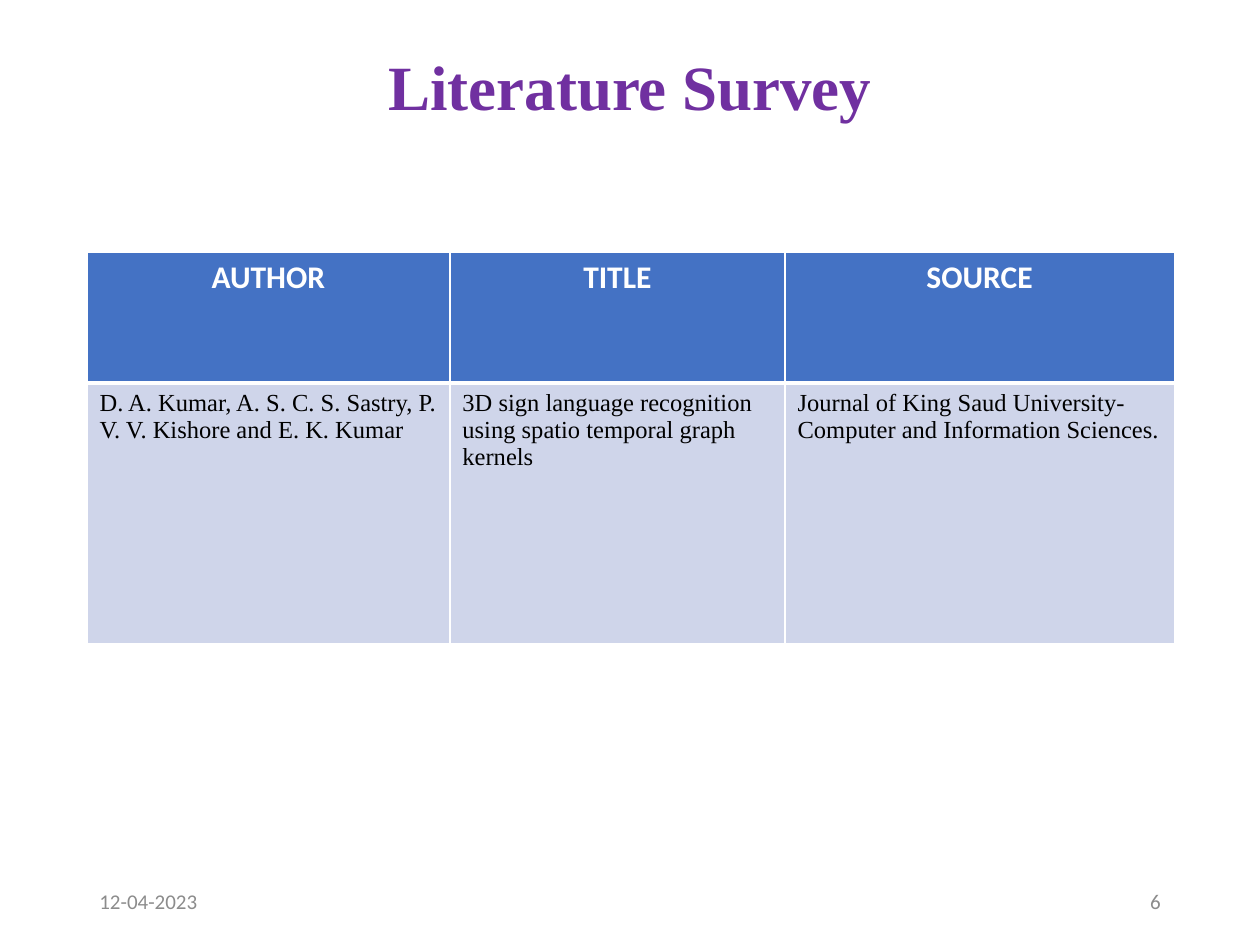
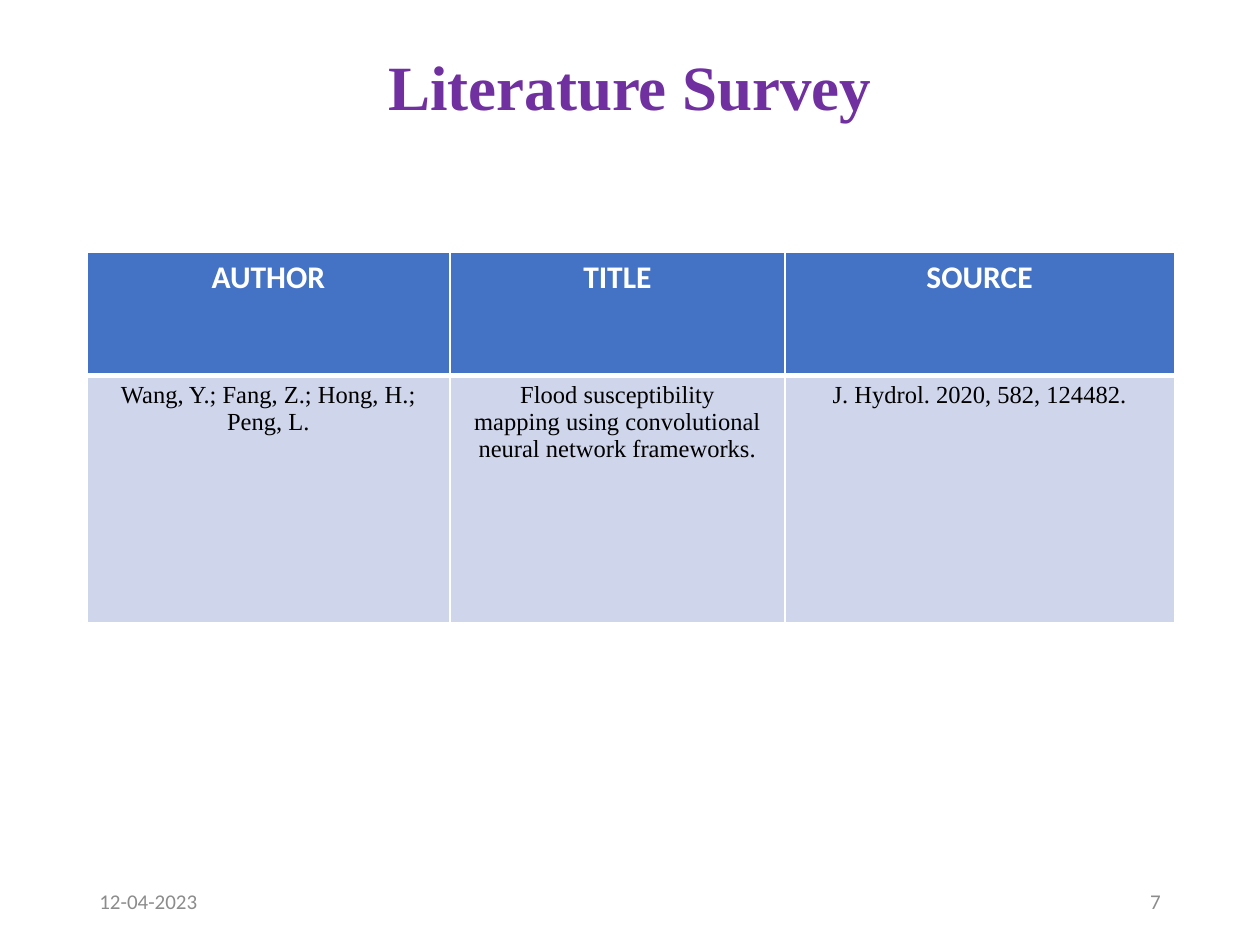
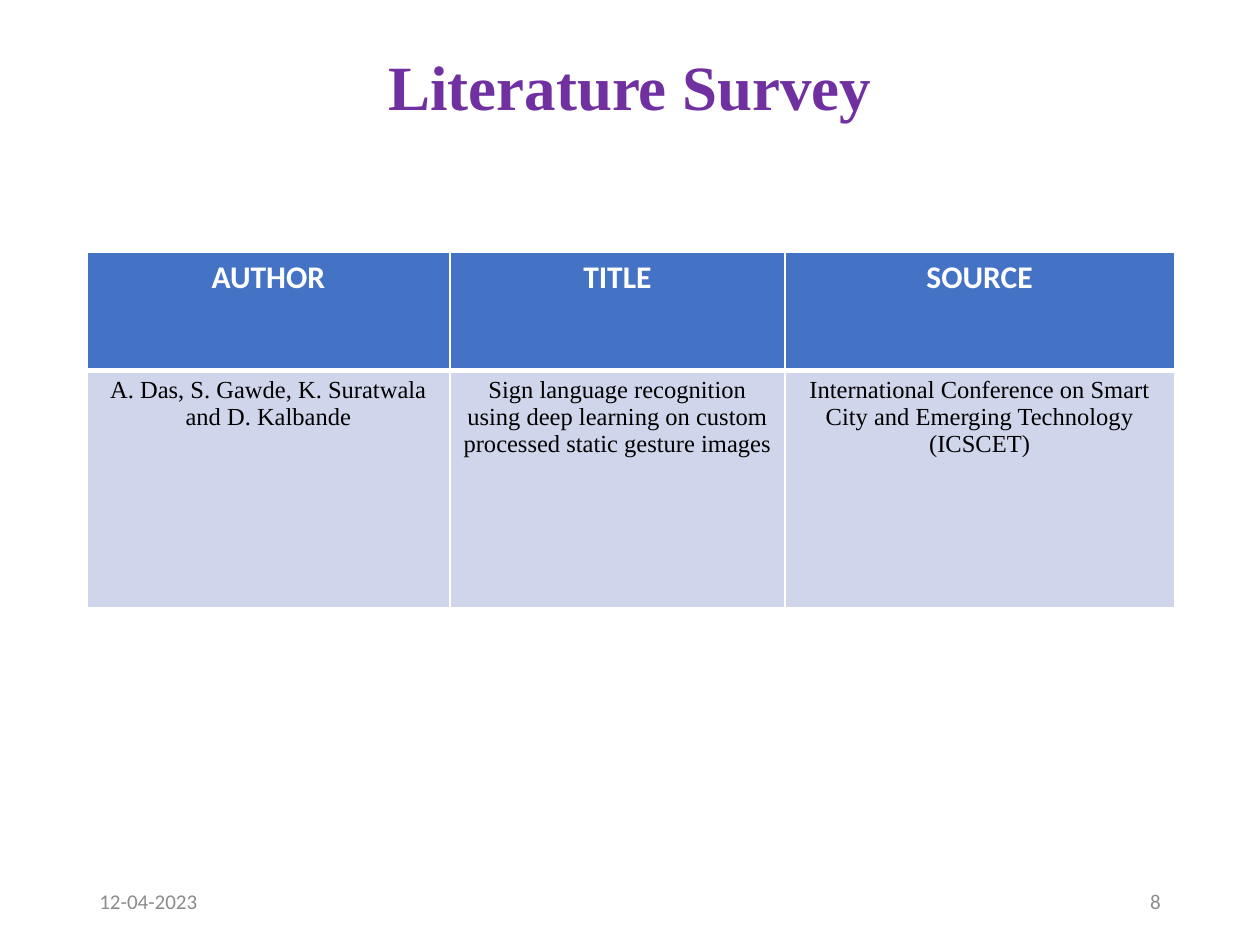
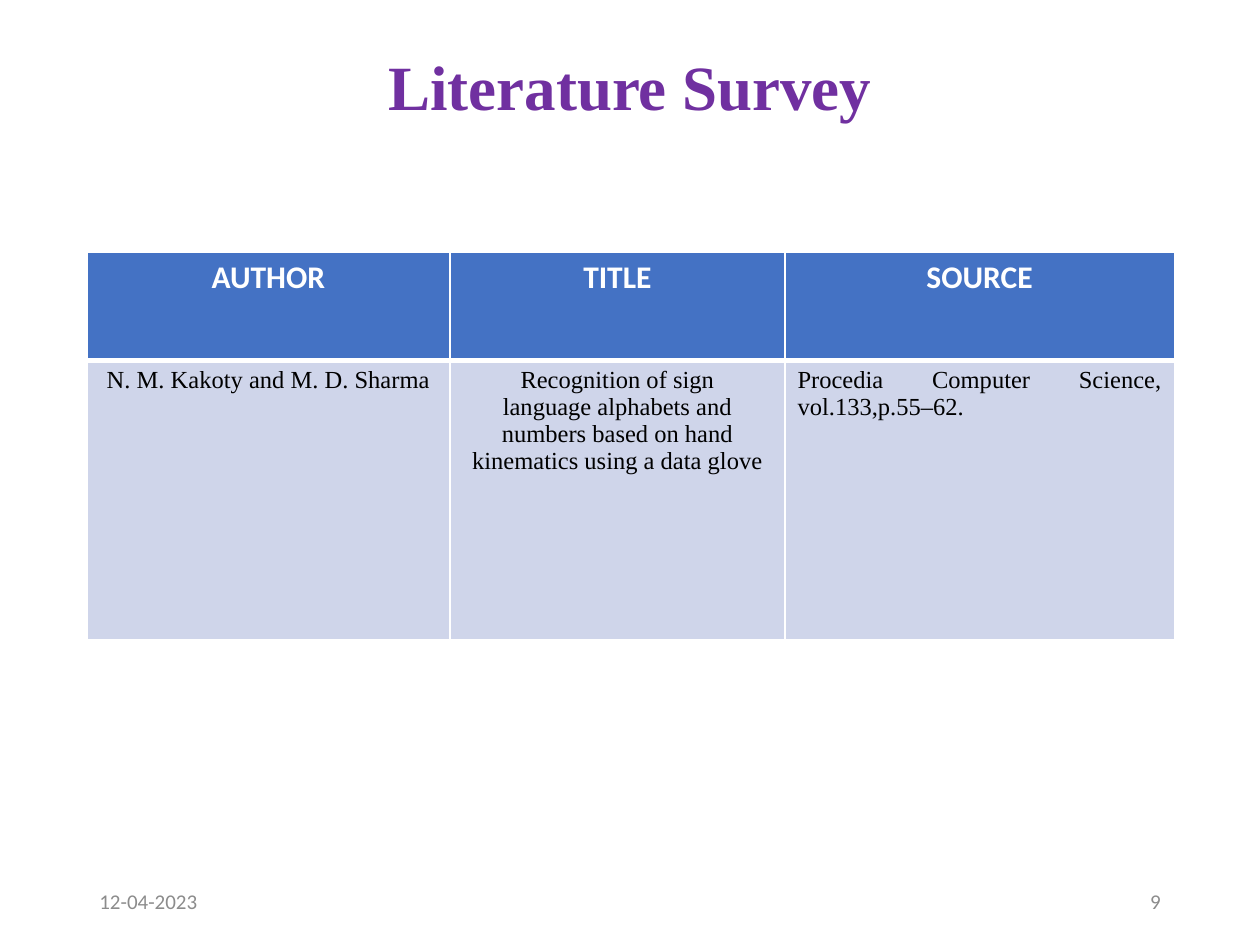
from pptx import Presentation
from pptx import util as u
from pptx.dml.color import RGBColor
from pptx.enum import text
from pptx.oxml import parse_xml
from pptx.oxml.ns import nsdecls

# Shared colours and text formats
PURPLE = RGBColor(0x70, 0x30, 0xA0)
BLUE = RGBColor(0x44, 0x72, 0xC4)
PALE = RGBColor(0xCF, 0xD5, 0xEA)
GREY = RGBColor(0x8C, 0x8C, 0x8C)
WHITE = RGBColor(0xFF, 0xFF, 0xFF)
BLACK = RGBColor(0x00, 0x00, 0x00)

TITLE = {"name": "Times New Roman", "size": u.Pt(36), "bold": True, "color": PURPLE}
HEAD = {"name": "Calibri", "size": u.Pt(18), "bold": True, "color": WHITE}
BODY = {"name": "Times New Roman", "size": u.Pt(14), "bold": False, "color": BLACK}
FOOT = {"name": "Calibri", "size": u.Pt(12), "bold": False, "color": GREY}

AL = text.PP_ALIGN
L, C, R, J = AL.LEFT, AL.CENTER, AL.RIGHT, AL.JUSTIFY

# Slide size and grid
prs = Presentation()
prs.slide_width, prs.slide_height = W, H = u.Inches(10), u.Inches(7.5)
MARGIN = u.Inches(0.69)
WIDTH = W - 2 * MARGIN
FOOT_W = u.Inches(2.25)
COLS = [u.Inches(w) for w in (2.88, 2.66, 3.09)]
TABLE_TOP = u.Inches(2)
FIRST_NUMBER = 6

HEADINGS = ["AUTHOR", "TITLE", "SOURCE"]
# Row heights in inches, cell alignments, cell texts
SURVEYS = [
    ((1.04, 2.07), (L, L, L), [
        "D. A. Kumar, A. S. C. S. Sastry, P. V. V. Kishore and E. K. Kumar",
        "3D sign language recognition using spatio temporal graph kernels",
        "Journal of King Saud University-Computer and Information Sciences."]),
    ((0.98, 1.96), (C, C, C), [
        "Wang, Y.; Fang, Z.; Hong, H.; Peng, L.",
        "Flood susceptibility\nmapping using convolutional neural network frameworks.",
        "J. Hydrol. 2020, 582, 124482."]),
    ((0.94, 1.88), (C, C, C), [
        "A. Das, S. Gawde, K. Suratwala and D. Kalbande",
        "Sign language recognition using deep learning on custom processed "
        "static gesture images",
        "International Conference on Smart City and Emerging Technology (ICSCET)"]),
    ((0.86, 2.22), (C, C, J), [
        "N. M. Kakoty and M. D. Sharma",
        "Recognition of sign\nlanguage alphabets and numbers based on hand "
        "kinematics using a data glove",
        "Procedia Computer Science, vol.133,p.55–62."]),
]


def write(tf, words, fmt, align):
    p = tf.paragraphs[0]
    p.text = words
    p.alignment = align
    for r in p.runs:
        for key, value in fmt.items():
            if key == "color":
                r.font.color.rgb = value
            else:
                setattr(r.font, key, value)
    return p


def add_label(s, box, words, fmt, align):
    tf = s.shapes.add_textbox(*box).text_frame
    tf.word_wrap = True
    tf.vertical_anchor = text.MSO_ANCHOR.MIDDLE
    return write(tf, words, fmt, align)


for number, (heights, aligns, entry) in enumerate(SURVEYS, FIRST_NUMBER):
    s = prs.slides.add_slide(prs.slide_layouts[6])

    # Title
    p = add_label(s, (MARGIN, u.Inches(0.4), WIDTH, u.Inches(0.63)),
                  "Literature Survey", TITLE, C)
    p.line_spacing = 0.9

    # Survey table
    table = s.shapes.add_table(2, len(COLS), MARGIN, TABLE_TOP, WIDTH,
                               u.Inches(sum(heights))).table
    for col, width in zip(table.columns, COLS):
        col.width = width
    for row, height in zip(table.rows, heights):
        row.height = u.Inches(height)

    rows = [(HEADINGS, HEAD, BLUE, (C, C, C), {"T": 1, "B": 3}),
            (entry, BODY, PALE, aligns, {"T": 3, "B": 1})]
    for i, (words, fmt, fill, row_aligns, edges) in enumerate(rows):
        for j, (word, align) in enumerate(zip(words, row_aligns)):
            cell = table.cell(i, j)
            write(cell.text_frame, word, fmt, align)
            cell.fill.solid()
            cell.fill.fore_color.rgb = fill
            # Borders come before the fill in the cell properties
            borders = {"L": 1, "R": 1, **edges}
            for k, (side, points) in enumerate(borders.items()):
                cell._tc.get_or_add_tcPr().insert(k, parse_xml(
                    f'<a:ln{side} {nsdecls("a")} w="{u.Pt(points)}"><a:solidFill>'
                    f'<a:srgbClr val="{WHITE}"/></a:solidFill></a:ln{side}>'))

    # Footer: date and slide number
    for left, words, align in [(MARGIN, "12-04-2023", L),
                               (W - MARGIN - FOOT_W, str(number), R)]:
        add_label(s, (left, u.Inches(6.95), FOOT_W, u.Inches(0.4)), words, FOOT, align)

prs.save("out.pptx")
